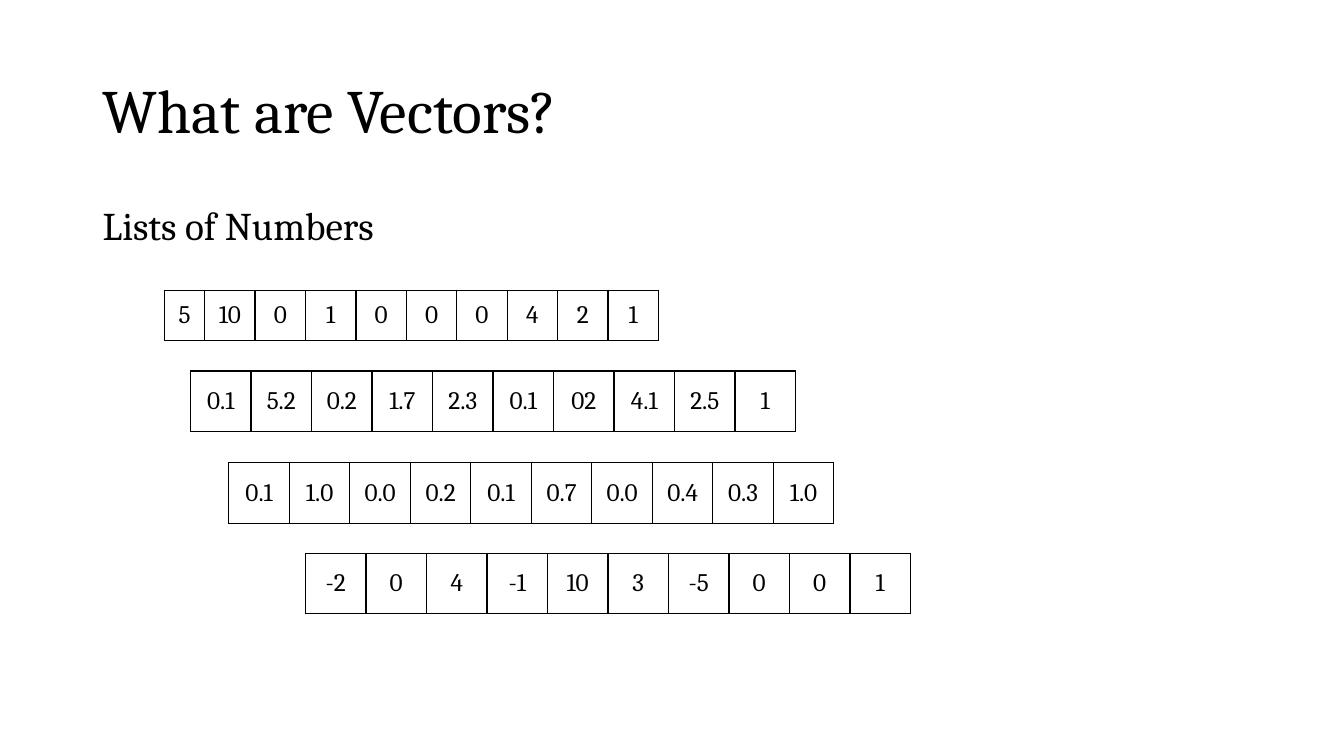
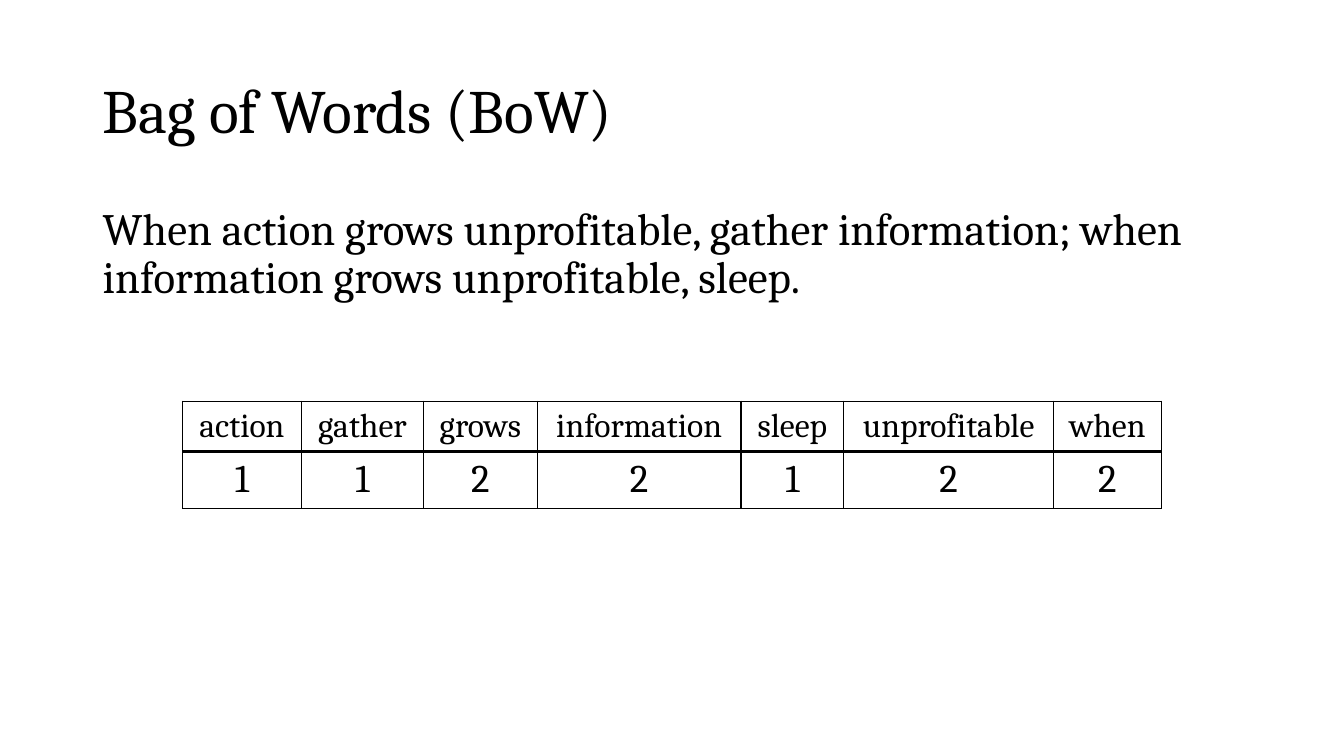
from lxml import etree
from pptx import Presentation
from pptx import util as u
from pptx.dml.color import RGBColor
from pptx.enum import text
from pptx.oxml import ns

COLORS = {"ink": "000000", "paper": "FFFFFF"}
FONT = "Cambria"
TITLE = {"area": (0.92, 0.4, 11.5, 1.45), "size": 44, "before": 0,
         "anchor": text.MSO_ANCHOR.MIDDLE}
BODY = {"area": (0.92, 2, 11.5, 4.76), "before": 10, "anchor": text.MSO_ANCHOR.TOP}
THIN, THICK = 1, 3

# Content: each table has its corner, column widths, row heights, text sizes and rows
SLIDES = [
    {"title": "What are Vectors?", "body": "Lists of Numbers", "body_size": 28,
     "tables": [
         {"at": (1.63, 2.88), "columns": [0.4] + [0.5] * 9, "heights": [0.5], "sizes": [18],
          "rows": ["5 10 0 1 0 0 0 4 2 1"]},
         {"at": (1.89, 3.68), "columns": [0.6] * 10, "heights": [0.6], "sizes": [18],
          "rows": ["0.1 5.2 0.2 1.7 2.3 0.1 02 4.1 2.5 1"]},
         {"at": (2.27, 4.59), "columns": [0.6] * 10, "heights": [0.6], "sizes": [18],
          "rows": ["0.1 1.0 0.0 0.2 0.1 0.7 0.0 0.4 0.3 1.0"]},
         {"at": (3.03, 5.49), "columns": [0.6] * 10, "heights": [0.6], "sizes": [18],
          "rows": ["-2 0 4 -1 10 3 -5 0 0 1"]},
     ]},
    {"title": "Bag of Words (BoW)",
     "body": "When action grows unprofitable, gather information; "
             "when information grows unprofitable, sleep.",
     "body_size": 32,
     "tables": [
         {"at": (1.81, 3.98), "columns": [1.18, 1.21, 1.13, 2.02, 1.02, 2.08, 1.07],
          "heights": [0.5, 0.55], "sizes": [24, 28],
          "rows": ["action gather grows information sleep unprofitable when",
                   "1 1 2 2 1 2 2"]},
     ]},
]


def write(paragraph, words, size, **formats):
    for name, value in formats.items():
        setattr(paragraph, name, value)
    run = paragraph.add_run()
    run.text = words
    for name, value in {"name": FONT, "size": u.Pt(size)}.items():
        setattr(run.font, name, value)
    run.font.color.rgb = RGBColor.from_string(COLORS["ink"])


def add_text(slide, words, area, size, before, anchor):
    frame = slide.shapes.add_textbox(*map(u.Inches, area)).text_frame
    frame.word_wrap = True
    frame.vertical_anchor = anchor
    write(frame.paragraphs[0], words, size, line_spacing=0.9, space_before=u.Pt(before))


def add_borders(cell, widths):
    properties = cell._tc.get_or_add_tcPr()
    for side, width in widths.items():
        line = etree.SubElement(properties, ns.qn(f"a:ln{side}"), w=str(u.Pt(width)))
        fill = etree.SubElement(line, ns.qn("a:solidFill"))
        etree.SubElement(fill, ns.qn("a:srgbClr"), val=COLORS["ink"])


def add_grid(slide, at, columns, heights, sizes, rows):
    area = (*at, sum(columns), sum(heights))
    table = slide.shapes.add_table(len(rows), len(columns), *map(u.Inches, area)).table
    table.first_row = table.horz_banding = False
    for column, width in zip(table.columns, columns):
        column.width = u.Inches(width)
    last = len(rows) - 1
    for i, (row, height, size, values) in enumerate(zip(table.rows, heights, sizes, rows)):
        row.height = u.Inches(height)
        # A thick rule separates rows; the outline is thin
        borders = {"L": THIN, "R": THIN,
                   "T": THICK if i > 0 else THIN, "B": THICK if i < last else THIN}
        for cell, value in zip(row.cells, values.split()):
            add_borders(cell, borders)
            cell.fill.background()
            cell.vertical_anchor = text.MSO_ANCHOR.MIDDLE
            write(cell.text_frame.paragraphs[0], value, size, alignment=text.PP_ALIGN.CENTER)


def main():
    presentation = Presentation()
    presentation.slide_width, presentation.slide_height = u.Inches(13.33), u.Inches(7.5)
    background = presentation.slide_master.background.fill
    background.solid()
    background.fore_color.rgb = RGBColor.from_string(COLORS["paper"])
    for content in SLIDES:
        slide = presentation.slides.add_slide(presentation.slide_layouts[6])
        add_text(slide, content["title"], **TITLE)
        add_text(slide, content["body"], size=content["body_size"], **BODY)
        for grid in content["tables"]:
            add_grid(slide, **grid)
    presentation.save("out.pptx")


if __name__ == "__main__":
    main()
